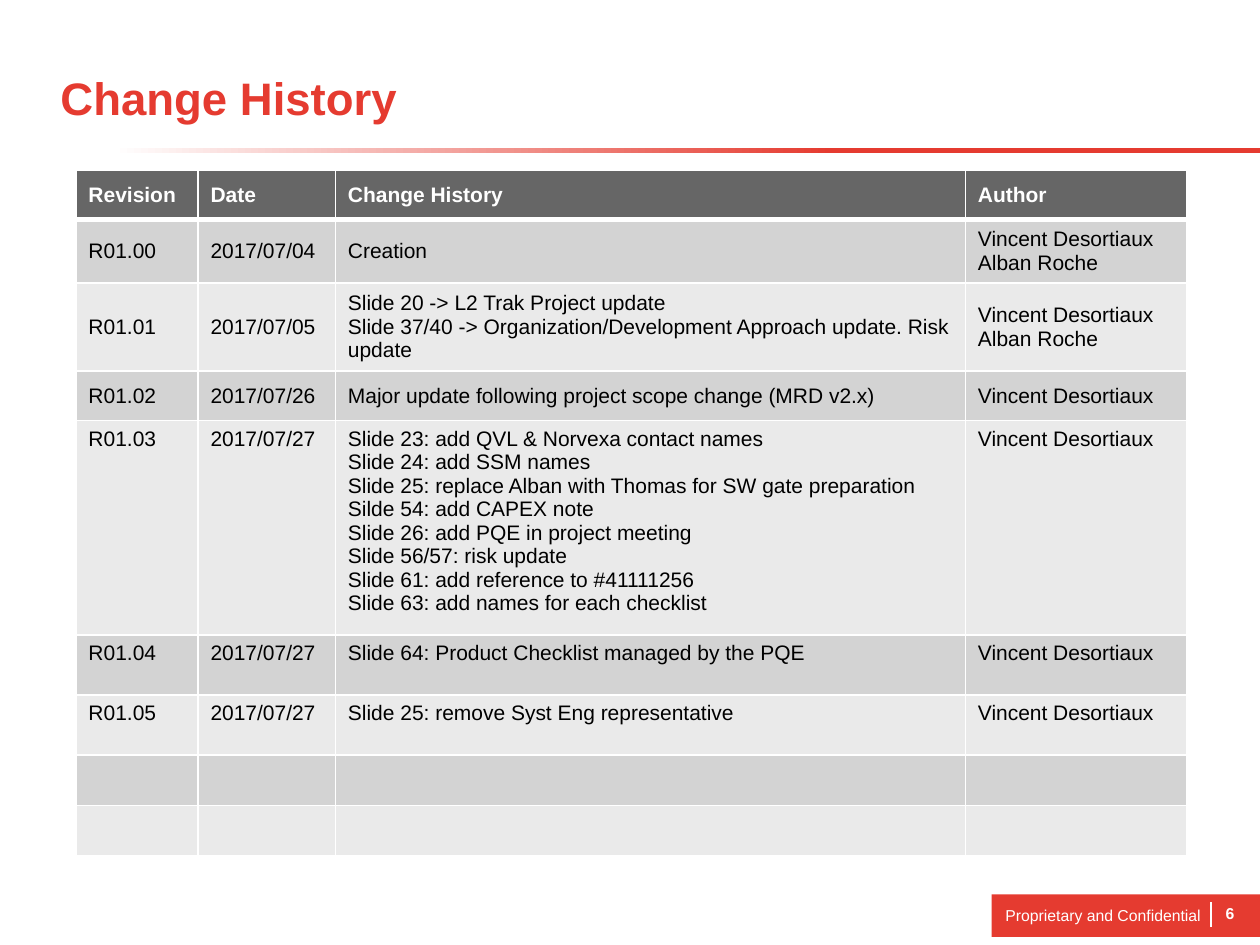
from lxml import etree
from pptx import Presentation
from pptx.dml.color import RGBColor
from pptx.enum import shapes, text
from pptx.oxml import ns
from pptx.util import Cm, Pt

RED, WHITE, BLACK, DARK = "E53B30", "FFFFFF", "000000", "666666"
BANDS = ["D3D3D3", "EAEAEA"]
MID, TOP = text.MSO_ANCHOR.MIDDLE, text.MSO_ANCHOR.TOP
LEAD = "Vincent Desortiaux"
BOTH = LEAD + "\nAlban Roche"
WIDTHS = [2.46, 2.77, 12.7, 4.47]
# height, anchor, cells
ROWS = [
    (1, MID, ["Revision", "Date", "Change History", "Author"]),
    (1.2, MID, ["R01.00", "2017/07/04", "Creation", BOTH]),
    (1.67, MID, ["R01.01", "2017/07/05",
                 "Slide 20 -> L2 Trak Project update\n"
                 "Slide 37/40 -> Organization/Development Approach update. "
                 "Risk update", BOTH]),
    (1, MID, ["R01.02", "2017/07/26",
              "Major update following project scope change (MRD v2.x)", LEAD]),
    (4.04, TOP, ["R01.03", "2017/07/27", "\n".join([
        "Slide 23: add QVL & Norvexa contact names",
        "Slide 24: add SSM names",
        "Slide 25: replace Alban with Thomas for SW gate preparation",
        "Silde 54: add CAPEX note",
        "Slide 26: add PQE in project meeting",
        "Slide 56/57: risk update",
        "Slide 61: add reference to #41111256",
        "Slide 63: add names for each checklist"]), LEAD]),
    (1.21, TOP, ["R01.04", "2017/07/27",
                 "Slide 64: Product Checklist managed by the PQE", LEAD]),
    (1.21, TOP, ["R01.05", "2017/07/27",
                 "Slide 25: remove Syst Eng representative", LEAD]),
    (1, TOP, [""] * 4),
    (1, TOP, [""] * 4),
]
# words, box, format, wrap, anchor, line spacing
LABELS = [
    ("Change History", (0.97, 0.83, 23.83, 2.39),
     dict(size=26, bold=True, color=RED), True, MID, 0.9),
    ("Proprietary and Confidential", (20.02, 18.14, 4.5, 0.64),
     dict(size=9, bold=False, color=WHITE), False, TOP, None),
    ("6", (24.46, 18.1, 0.91, 0.64),
     dict(size=9, bold=True, color=WHITE), False, TOP, None),
]


def rgb(code):
    """Turn a hex string into a colour."""
    return RGBColor.from_string(code)


def write(frame, words, form, gap=None):
    """Put one paragraph per line of words into a text frame."""
    for i, line in enumerate(words.split("\n")):
        para = frame.add_paragraph() if i else frame.paragraphs[0]
        if gap:
            para.line_spacing = gap
        run = para.add_run()
        run.text = line
        vals = dict(name="Arial", size=Pt(form["size"]), bold=form["bold"])
        for key, val in vals.items():
            setattr(run.font, key, val)
        run.font.color.rgb = rgb(form["color"])


def label(slide, words, box, form, wrap, anchor, gap):
    """Add a text box."""
    frame = slide.shapes.add_textbox(*map(Cm, box)).text_frame
    frame.word_wrap, frame.vertical_anchor = wrap, anchor
    write(frame, words, form, gap)


def bar(slide, *box):
    """Add a plain red bar."""
    shape = slide.shapes.add_shape(
        shapes.MSO_SHAPE.RECTANGLE, *map(Cm, box))
    shape.shadow.inherit = False
    shape.line.fill.background()
    shape.fill.solid()
    shape.fill.fore_color.rgb = rgb(RED)
    return shape


def edge(cell, side, width):
    """Draw one white cell border."""
    line = etree.SubElement(cell._tc.get_or_add_tcPr(), ns.qn("a:ln" + side),
                            w=str(Pt(width)))
    fill = etree.SubElement(line, ns.qn("a:solidFill"))
    etree.SubElement(fill, ns.qn("a:srgbClr"), val=WHITE)


def grid(slide):
    """Add the change table."""
    high = sum(row[0] for row in ROWS)
    table = slide.shapes.add_table(
        len(ROWS), len(WIDTHS), Cm(1.53), Cm(3.43),
        Cm(sum(WIDTHS)), Cm(high)).table
    for col, wide in zip(table.columns, WIDTHS):
        col.width = Cm(wide)
    for r, (tall, anchor, cells) in enumerate(ROWS):
        table.rows[r].height = Cm(tall)
        form = dict(size=12, bold=r == 0, color=BLACK if r else WHITE)
        for c, words in enumerate(cells):
            cell = table.cell(r, c)
            sides = [("L", c > 0, 1), ("R", c < len(WIDTHS) - 1, 1),
                     ("T", r > 0, 3 if r == 1 else 1),
                     ("B", r < len(ROWS) - 1, 1 if r else 3)]
            for side, inner, width in sides:
                if inner:
                    edge(cell, side, width)
            cell.vertical_anchor = anchor
            cell.fill.solid()
            cell.fill.fore_color.rgb = rgb(BANDS[(r - 1) % 2] if r else DARK)
            write(cell.text_frame, words, form)


def main():
    """Build the slide."""
    deck = Presentation()
    deck.slide_width, deck.slide_height = Cm(25.4), Cm(19.05)
    slide = deck.slides.add_slide(deck.slide_layouts[6])

    bar(slide, 19.99, 18.03, 5.41, 0.86)
    fade = bar(slide, 0, 2.98, 25.4, 0.1).fill
    fade.gradient()
    fade.gradient_angle = 0
    for stop, (place, code) in zip(fade.gradient_stops,
                                   [(0.09, WHITE), (0.66, RED)]):
        stop.position, stop.color.rgb = place, rgb(code)

    rule = slide.shapes.add_connector(
        shapes.MSO_CONNECTOR.STRAIGHT,
        *map(Cm, (24.41, 18.19, 24.41, 18.69)))
    rule.line.width = Pt(0.75)
    rule.line.color.rgb = rgb(WHITE)
    etree.SubElement(rule._element.spPr, ns.qn("a:effectLst"))

    for item in LABELS:
        label(slide, *item)
    grid(slide)
    deck.save("out.pptx")


main()
